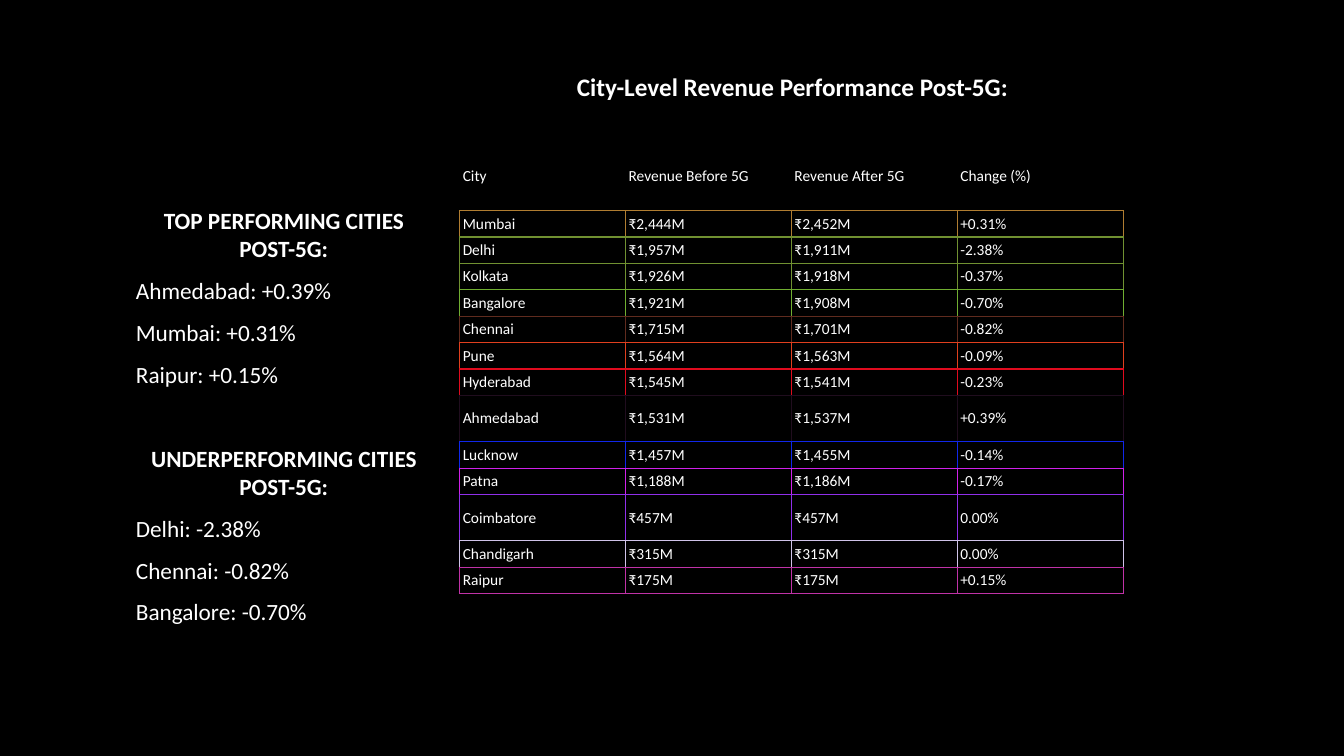
"""Build a slide on city-level revenue before and after the 5G launch."""
from lxml.etree import SubElement
from pptx import Presentation
from pptx.dml.color import RGBColor
from pptx.enum.text import MSO_ANCHOR as Anchor, PP_ALIGN as Align
from pptx.oxml.ns import qn
from pptx.util import Inches, Pt

FONT = "Calibri"
COLORS = {"background": "000000", "text": "FFFFFF"}
TITLE = "City-Level Revenue Performance Post-5G:"
HEADER = ("City", "Revenue Before 5G", "Revenue After 5G", "Change (%)")
CITIES = [
    ("Mumbai", "₹2,444M", "₹2,452M", "+0.31%"),
    ("Delhi", "₹1,957M", "₹1,911M", "-2.38%"),
    ("Kolkata", "₹1,926M", "₹1,918M", "-0.37%"),
    ("Bangalore", "₹1,921M", "₹1,908M", "-0.70%"),
    ("Chennai", "₹1,715M", "₹1,701M", "-0.82%"),
    ("Pune", "₹1,564M", "₹1,563M", "-0.09%"),
    ("Hyderabad", "₹1,545M", "₹1,541M", "-0.23%"),
    ("Ahmedabad", "₹1,531M", "₹1,537M", "+0.39%"),
    ("Lucknow", "₹1,457M", "₹1,455M", "-0.14%"),
    ("Patna", "₹1,188M", "₹1,186M", "-0.17%"),
    ("Coimbatore", "₹457M", "₹457M", "0.00%"),
    ("Chandigarh", "₹315M", "₹315M", "0.00%"),
    ("Raipur", "₹175M", "₹175M", "+0.15%"),
]
BORDER_COLORS = {
    "Mumbai": "B07D31", "Delhi": "709031", "Kolkata": "709131",
    "Bangalore": "70AE31", "Chennai": "602B1E", "Pune": "E03F1E",
    "Hyderabad": "E00B1E", "Ahmedabad": "200D1E", "Lucknow": "1027EA",
    "Patna": "D021EA", "Coimbatore": "9030EA", "Chandigarh": "D0C3E9",
    "Raipur": "C032A7",
}
SECTIONS = [
    ("TOP PERFORMING CITIES POST-5G:",
     ["Ahmedabad: +0.39%", "Mumbai: +0.31%", "Raipur: +0.15%"]),
    ("UNDERPERFORMING CITIES POST-5G:",
     ["Delhi: -2.38%", "Chennai: -0.82%", "Bangalore: -0.70%"]),
]
TABLE_BOX = (4.56, 1.62, 6.58, 4.27)
TITLE_BOX = (4.58, 0.71, 6.56, 0.91)
SECTIONS_BOX = (1.25, 2, 3.13, 4.27)
TALL_ROWS = {"City": 0.47, "Ahmedabad": 0.46, "Coimbatore": 0.46}
CELL_MARGIN = 0.03
SECTION_SIZE = 16.6


def add_run(paragraph, text, size, bold=False):
    run = paragraph.add_run()
    run.text = text
    run.font.name = FONT
    run.font.size = Pt(size)
    run.font.bold = bold
    run.font.color.rgb = RGBColor.from_string(COLORS["text"])


def add_text_frame(slide, box):
    shape = slide.shapes.add_textbox(*map(Inches, box))
    shape.text_frame.word_wrap = True
    return shape.text_frame


def set_margins(target, margin):
    target.margin_left = target.margin_right = Inches(margin)
    target.margin_top = target.margin_bottom = Inches(margin)


def set_borders(cell, own_color, bottom_color):
    properties = cell._tc.get_or_add_tcPr()
    for side in "LRTB":
        color = bottom_color if side == "B" else own_color
        line = SubElement(properties, qn(f"a:ln{side}"), w=str(Pt(1)))
        if color:
            fill = SubElement(line, qn("a:solidFill"))
            SubElement(fill, qn("a:srgbClr"), val=color)
        else:
            SubElement(line, qn("a:noFill"))


def add_title(slide):
    frame = add_text_frame(slide, TITLE_BOX)
    set_margins(frame, 0)
    paragraph = frame.paragraphs[0]
    paragraph.alignment = Align.CENTER
    add_run(paragraph, TITLE, 18, bold=True)


def add_sections(slide):
    frame = add_text_frame(slide, SECTIONS_BOX)
    paragraph = frame.paragraphs[0]
    for index, (heading, lines) in enumerate(SECTIONS):
        if index:
            paragraph = frame.add_paragraph()
            paragraph.space_before = Pt(30)
        paragraph.alignment = Align.CENTER
        paragraph.space_after = Pt(10)
        add_run(paragraph, heading, SECTION_SIZE, bold=True)
        for line in lines:
            paragraph = frame.add_paragraph()
            paragraph.space_after = Pt(10)
            add_run(paragraph, line, SECTION_SIZE)


def add_city_table(slide):
    records = [HEADER] + CITIES
    table = slide.shapes.add_table(
        len(records), len(HEADER), *map(Inches, TABLE_BOX)).table
    table.first_row = table.horz_banding = False
    width, height = TABLE_BOX[2:]
    plain_height = ((height - sum(TALL_ROWS.values()))
                    / (len(records) - len(TALL_ROWS)))
    for column in table.columns:
        column.width = Inches(width / len(HEADER))
    colors = [BORDER_COLORS.get(record[0]) for record in records]
    bottoms = colors[1:] + colors[-1:]
    for row, record, color, bottom in zip(table.rows, records, colors, bottoms):
        row.height = Inches(TALL_ROWS.get(record[0], plain_height))
        for cell, text in zip(row.cells, record):
            set_borders(cell, color, bottom)
            cell.fill.background()
            set_margins(cell, CELL_MARGIN)
            cell.vertical_anchor = Anchor.MIDDLE if color else Anchor.TOP
            add_run(cell.text_frame.paragraphs[0], text, 11)


def main():
    presentation = Presentation()
    presentation.slide_width = Inches(13.33)
    presentation.slide_height = Inches(7.5)
    slide = presentation.slides.add_slide(presentation.slide_layouts[6])
    background = slide.background.fill
    background.solid()
    background.fore_color.rgb = RGBColor.from_string(COLORS["background"])
    add_city_table(slide)
    add_title(slide)
    add_sections(slide)
    presentation.save("out.pptx")


if __name__ == "__main__":
    main()
